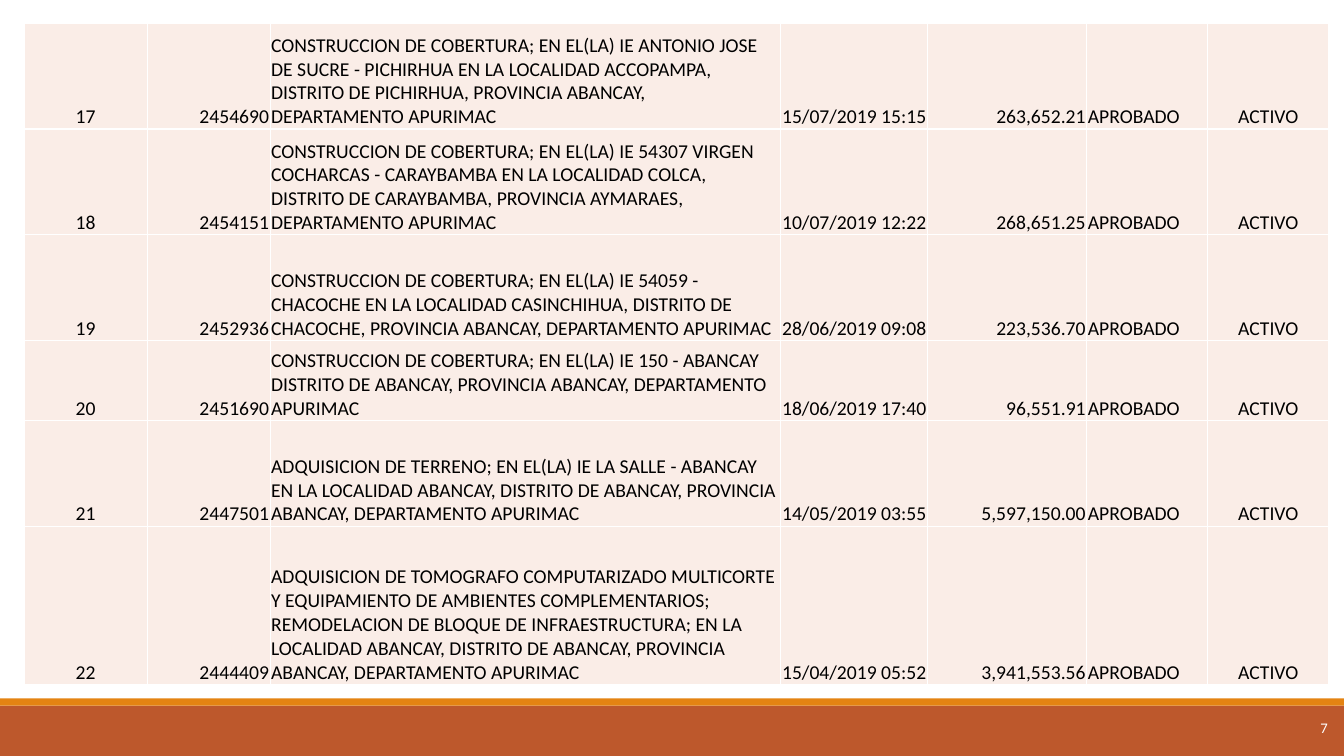
from dataclasses import dataclass

from lxml import etree
from pptx import Presentation
from pptx.dml.color import RGBColor
from pptx.enum.shapes import MSO_SHAPE
from pptx.enum.text import MSO_ANCHOR, PP_ALIGN
from pptx.oxml import parse_xml
from pptx.oxml.ns import nsdecls
from pptx.util import Inches, Pt


@dataclass(frozen=True)
class Theme:
    font: str = "Calibri"
    table_size: float = 14
    number_size: float = 10.5
    text: str = "000000"
    white: str = "FFFFFF"
    cell: str = "FAEDE7"
    band: str = "BD582C"
    stripe: str = "E48312"
    border_width: float = 1


THEME = Theme()
LEFT, CENTER, RIGHT = PP_ALIGN.LEFT, PP_ALIGN.CENTER, PP_ALIGN.RIGHT
COLUMNS = [
    (1.22, CENTER), (1.22, RIGHT), (5.06, LEFT), (1.46, RIGHT),
    (1.58, RIGHT), (1.2, LEFT), (1.2, CENTER),
]
ROW_HEIGHTS = [1.05, 1.05, 1.05, 0.79, 1.05, 1.57]
FIRST_NUMBER = 17
STATUS = ("APROBADO", "ACTIVO")
PROJECTS = [
    ("2454690",
     "CONSTRUCCION DE COBERTURA; EN EL(LA) IE ANTONIO JOSE DE SUCRE - PICHIRHUA "
     "EN LA LOCALIDAD ACCOPAMPA, DISTRITO DE PICHIRHUA, PROVINCIA ABANCAY, "
     "DEPARTAMENTO APURIMAC",
     "15/07/2019 15:15", "263,652.21"),
    ("2454151",
     "CONSTRUCCION DE COBERTURA; EN EL(LA) IE 54307 VIRGEN COCHARCAS - CARAYBAMBA "
     "EN LA LOCALIDAD COLCA, DISTRITO DE CARAYBAMBA, PROVINCIA AYMARAES, "
     "DEPARTAMENTO APURIMAC",
     "10/07/2019 12:22", "268,651.25"),
    ("2452936",
     "CONSTRUCCION DE COBERTURA; EN EL(LA) IE 54059 - CHACOCHE EN LA LOCALIDAD "
     "CASINCHIHUA, DISTRITO DE CHACOCHE, PROVINCIA ABANCAY, DEPARTAMENTO APURIMAC",
     "28/06/2019 09:08", "223,536.70"),
    ("2451690",
     "CONSTRUCCION DE COBERTURA; EN EL(LA) IE 150 - ABANCAY DISTRITO DE ABANCAY, "
     "PROVINCIA ABANCAY, DEPARTAMENTO APURIMAC",
     "18/06/2019 17:40", "96,551.91"),
    ("2447501",
     "ADQUISICION DE TERRENO; EN EL(LA) IE LA SALLE - ABANCAY EN LA LOCALIDAD "
     "ABANCAY, DISTRITO DE ABANCAY, PROVINCIA ABANCAY, DEPARTAMENTO APURIMAC",
     "14/05/2019 03:55", "5,597,150.00"),
    ("2444409",
     "ADQUISICION DE TOMOGRAFO COMPUTARIZADO MULTICORTE Y EQUIPAMIENTO DE AMBIENTES "
     "COMPLEMENTARIOS; REMODELACION DE BLOQUE DE INFRAESTRUCTURA; EN LA LOCALIDAD "
     "ABANCAY, DISTRITO DE ABANCAY, PROVINCIA ABANCAY, DEPARTAMENTO APURIMAC",
     "15/04/2019 05:52", "3,941,553.56"),
]


def add_band(slide, top, height, color):
    band = slide.shapes.add_shape(
        MSO_SHAPE.RECTANGLE, 0, Inches(top), Inches(13.33), Inches(height))
    band.shadow.inherit = False
    band.fill.solid()
    band.fill.fore_color.rgb = RGBColor.from_string(color)
    band.line.fill.background()


def write_text(paragraph, text, size, color, align):
    paragraph.alignment = align
    run = paragraph.add_run()
    run.text = text
    run.font.name = THEME.font
    run.font.size = Pt(size)
    run.font.color.rgb = RGBColor.from_string(color)


def add_page_number(slide, number):
    box = slide.shapes.add_textbox(Inches(12.37), Inches(6.93), Inches(0.8), Inches(0.57))
    frame = box.text_frame
    frame.word_wrap = True
    frame.vertical_anchor = MSO_ANCHOR.MIDDLE
    frame.margin_left = frame.margin_right = frame.margin_top = frame.margin_bottom = 0
    write_text(frame.paragraphs[0], number, THEME.number_size, THEME.white, RIGHT)


def set_borders(cell):
    properties = cell._tc.get_or_add_tcPr()
    for position, side in enumerate(("lnL", "lnR", "lnT", "lnB")):
        properties.insert(position, parse_xml(
            f'<a:{side} {nsdecls("a")} w="{Pt(THEME.border_width)}"><a:solidFill>'
            f'<a:srgbClr val="{THEME.white}"/></a:solidFill></a:{side}>'))


def fill_cell(cell, text, align):
    cell.fill.solid()
    cell.fill.fore_color.rgb = RGBColor.from_string(THEME.cell)
    cell.vertical_anchor = MSO_ANCHOR.BOTTOM
    cell.margin_left = cell.margin_right = cell.margin_top = Inches(0.01)
    cell.margin_bottom = 0
    write_text(cell.text_frame.paragraphs[0], text, THEME.table_size, THEME.text, align)
    set_borders(cell)


def add_project_table(slide):
    width = sum(column_width for column_width, _ in COLUMNS)
    table = slide.shapes.add_table(
        len(PROJECTS), len(COLUMNS), Inches(0.24), Inches(0.23),
        Inches(width), Inches(sum(ROW_HEIGHTS))).table
    table.first_row = table.horz_banding = False
    for column, (column_width, _) in zip(table.columns, COLUMNS):
        column.width = Inches(column_width)
    for row, height in zip(table.rows, ROW_HEIGHTS):
        row.height = Inches(height)
    for index, project in enumerate(PROJECTS):
        values = (str(FIRST_NUMBER + index), *project, *STATUS)
        for cell, value, (_, align) in zip(table.rows[index].cells, values, COLUMNS):
            fill_cell(cell, value, align)


def main():
    presentation = Presentation()
    presentation.slide_width = Inches(13.33)
    presentation.slide_height = Inches(7.5)
    slide = presentation.slides.add_slide(presentation.slide_layouts[6])
    add_band(slide, 7, 0.5, THEME.band)
    add_band(slide, 6.93, 0.07, THEME.stripe)
    add_page_number(slide, "7")
    add_project_table(slide)
    presentation.save("out.pptx")


main()
